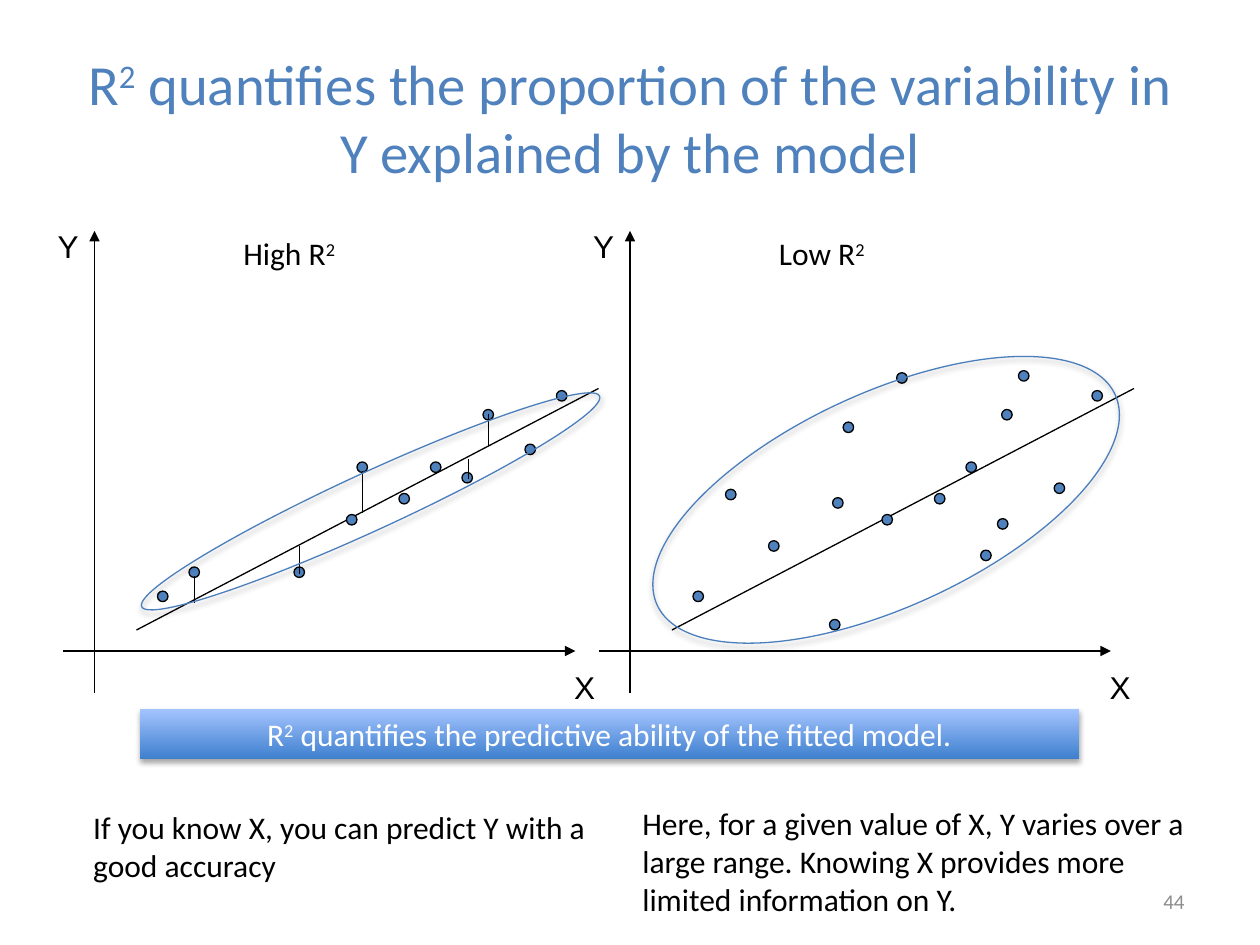
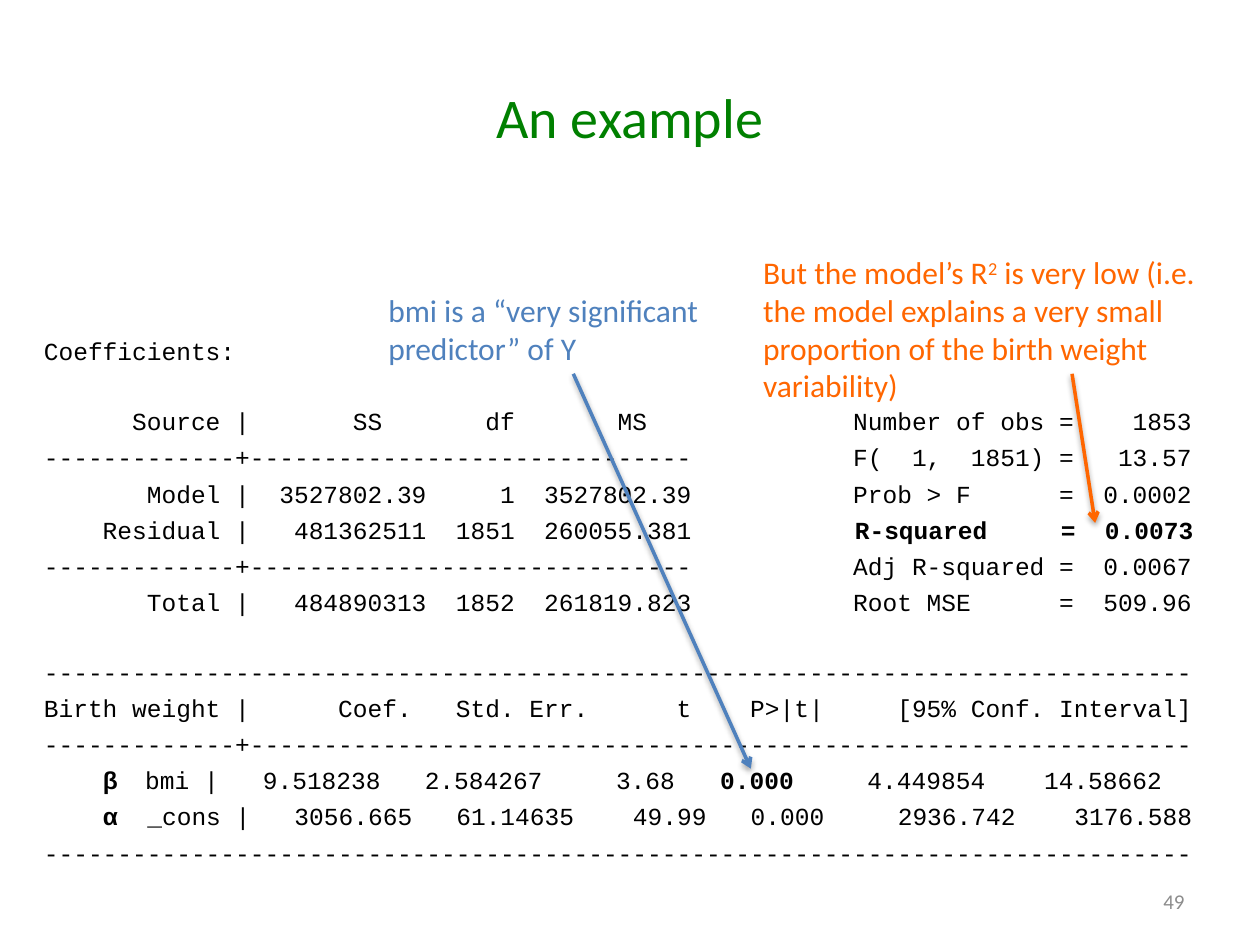
from pptx import Presentation
from pptx.dml.color import RGBColor
from pptx.enum.shapes import MSO_CONNECTOR, MSO_SHAPE
from pptx.enum.text import MSO_ANCHOR, PP_ALIGN
from pptx.oxml import parse_xml
from pptx.util import Inches, Pt

# Grid: 120 columns by 90 rows of square cells, twelve to the inch
CELL = Inches(1) // 12
COLUMNS, ROWS = 120, 90

COLORS = {
    "black": "000000", "white": "FFFFFF", "blue": "4F81BD", "outline": "4B7EBC",
    "green": "008000", "orange": "FF6600", "gray": "8C8C8C",
    "banner_bottom": "3F80CE", "banner_top": "A4C4FF",
}
TITLE_BOX = (6, 3.6, 108, 15)
NUMBER_BOX = (86, 83.4, 28, 4.8)

NAMESPACE = 'xmlns:a="http://schemas.openxmlformats.org/drawingml/2006/main"'
NO_EFFECT = f"<a:effectLst {NAMESPACE}/>"
SHADOW = (f'<a:effectLst {NAMESPACE}><a:outerShdw blurRad="40000" dist="23000" dir="5400000" '
          'rotWithShape="0"><a:srgbClr val="000000"><a:alpha val="35000"/></a:srgbClr>'
          "</a:outerShdw></a:effectLst>")

SUPERSCRIPT, BOLD, GREEK = "superscript", "bold", "greek"
SQUARE = ("2", SUPERSCRIPT)


def add_text(slide, box, *paragraphs, size=18, color="black", font="Calibri",
             align=PP_ALIGN.LEFT, anchor=MSO_ANCHOR.TOP, preset=None):
    """Add text; a paragraph is a string or a list of strings and (string, style) runs."""
    area = [round(value * CELL) for value in box]
    shape = slide.shapes.add_shape(preset, *area) if preset else slide.shapes.add_textbox(*area)
    frame = shape.text_frame
    frame.word_wrap = True
    frame.vertical_anchor = anchor
    for index, content in enumerate(paragraphs):
        paragraph = frame.paragraphs[0] if index == 0 else frame.add_paragraph()
        paragraph.alignment = align
        for part in [content] if isinstance(content, str) else content:
            text, style = (part, None) if isinstance(part, str) else part
            run = paragraph.add_run()
            run.text = text
            run.font.name = "Arial" if style == GREEK else font
            run.font.size = Pt(size)
            run.font.bold = style in (BOLD, GREEK)
            run.font.color.rgb = RGBColor.from_string(COLORS[color])
            if style == SUPERSCRIPT:
                run.font._element.set("baseline", "30000")
    return shape


def add_line(slide, start, end, color="black", width=0.75, arrow=None, effect=NO_EFFECT):
    """Draw a straight line, with an arrowhead at its end when one is named."""
    points = [round(value * CELL) for value in (*start, *end)]
    connector = slide.shapes.add_connector(MSO_CONNECTOR.STRAIGHT, *points)
    connector.line.color.rgb = RGBColor.from_string(COLORS[color])
    connector.line.width = Pt(width)
    if arrow:
        connector.line._get_or_add_ln().append(
            parse_xml(f'<a:tailEnd {NAMESPACE} type="{arrow}"/>'))
    connector._element.spPr.append(parse_xml(effect))


presentation = Presentation()
presentation.slide_width = COLUMNS * CELL
presentation.slide_height = ROWS * CELL

# Titles and slide numbers
slides = []
for title, title_size, title_color, number in [
    (["R", SQUARE, " quantifies the proportion of the variability in Y explained by the model"],
     32.4, "blue", "44"),
    ("An example", 32, "green", "49"),
]:
    slide = presentation.slides.add_slide(presentation.slide_layouts[6])
    add_text(slide, TITLE_BOX, title, size=title_size, color=title_color,
             align=PP_ALIGN.CENTER, anchor=MSO_ANCHOR.MIDDLE)
    add_text(slide, NUMBER_BOX, number, size=12, color="gray",
             align=PP_ALIGN.RIGHT, anchor=MSO_ANCHOR.MIDDLE)
    slides.append(slide)
fit_slide, example_slide = slides

# Two scatter plots; columns count from the left edge of each plot
PLOT_STEP = 51
plots = [
    {
        "caption": "High R",
        "ellipse": (11.3, 45, 48, 5.5),
        "dots": [(15, 56.3), (18, 54), (28, 54), (33, 49), (34, 44), (41, 44), (38, 47),
                 (44, 45), (46, 39), (50, 42.3), (53, 37.2)],
        "residuals": [(18.5, 54.9, 57.4), (28.5, 52, 54.7), (34.5, 44.9, 48.9),
                      (46.5, 39.4, 42.5), (44.6, 43.7, 45.6)],
    },
    {
        "caption": "Low R",
        "ellipse": (9.4, 37.4, 48, 20.4),
        "dots": [(15, 56.3), (18.1, 46.6), (28, 59), (33, 49), (34.4, 35.5), (41, 44),
                 (38, 47), (44, 49.4), (46, 35.3), (49.4, 46), (53, 37.2), (42.4, 52.4),
                 (44.4, 39), (22.2, 51.5), (28.3, 47.4), (29.3, 40.2)],
        "residuals": [],
    },
]
for index, plot in enumerate(plots):
    left = index * PLOT_STEP

    # Axes and fitted line
    add_line(fit_slide, (left + 9, 66), (left + 9, 22), arrow="triangle")
    add_line(fit_slide, (left + 6, 62), (left + 54.8, 62), arrow="triangle")
    add_line(fit_slide, (left + 13, 60), (left + 57, 37))

    # Observations
    for column, row in plot["dots"]:
        dot = fit_slide.shapes.add_shape(
            MSO_SHAPE.OVAL, round((left + column) * CELL), round(row * CELL), CELL, CELL)
        dot.shadow.inherit = False
        dot.fill.solid()
        dot.fill.fore_color.rgb = RGBColor.from_string(COLORS["blue"])
        dot.line.color.rgb = RGBColor.from_string(COLORS["black"])
        dot.line.width = Pt(0.75)
    for column, top, bottom in plot["residuals"]:
        add_line(fit_slide, (left + column, top), (left + column, bottom))

    # Axis names and caption
    add_text(fit_slide, (left + 53.5, 63, 11, 6), "X", font="Arial")
    add_text(fit_slide, (left + 1, 21, 11, 6), "Y", font="Arial", align=PP_ALIGN.CENTER)
    add_text(fit_slide, (left + 22, 21.7, 13, 7.3), [plot["caption"], SQUARE])

    # Ellipse around the cloud
    column, row, width, height = plot["ellipse"]
    ellipse = fit_slide.shapes.add_shape(
        MSO_SHAPE.OVAL, *[round(value * CELL) for value in (left + column, row, width, height)])
    ellipse.rotation = 335.3
    ellipse.fill.background()
    ellipse.line.color.rgb = RGBColor.from_string(COLORS["outline"])
    ellipse.line.width = Pt(0.75)
    ellipse._element.spPr.append(parse_xml(SHADOW))

# Remarks below the plots
add_text(fit_slide, (7.7, 76.4, 49.4, 8.5),
         "If you know X, you can predict Y with a good accuracy")
add_text(fit_slide, (60, 76, 55.5, 12.1),
         "Here, for a given value of X, Y varies over a large range. "
         "Knowing X provides more limited information on Y.")

# Banner
banner = add_text(fit_slide, (13.3, 67.5, 89.5, 4.8),
                  ["R", SQUARE, " quantifies the predictive ability of the fitted model."],
                  color="white", align=PP_ALIGN.CENTER, preset=MSO_SHAPE.RECTANGLE)
banner.fill.gradient()
banner.fill.gradient_angle = 90
for stop, name in zip(banner.fill.gradient_stops, ("banner_bottom", "banner_top")):
    stop.color.rgb = RGBColor.from_string(COLORS[name])
banner.line.fill.background()
banner._element.spPr.append(parse_xml(SHADOW))

# Regression output, in three blocks
blocks = [
    ["Coefficients:"],
    [
        "      Source |       SS       df       MS              Number of obs =    1853",
        "-------------+------------------------------           F(  1,  1851) =   13.57",
        "       Model |  3527802.39     1  3527802.39           Prob > F      =  0.0002",
        ["    Residual |   481362511  1851  260055.381           ",
         ("R-squared     =  0.0073", BOLD)],
        "-------------+------------------------------           Adj R-squared =  0.0067",
        "       Total |   484890313  1852  261819.823           Root MSE      =  509.96",
    ],
    [
        "-" * 78,
        "Birth weight |      Coef.   Std. Err.      t    P>|t|     [95% Conf. Interval]",
        "-" * 13 + "+" + "-" * 64,
        ["    ", ("β    ", GREEK), "bmi |   9.518238   2.584267     3.68   ",
         ("0.000 ", BOLD), "    4.449854    14.58662"],
        ["    ", ("α", GREEK),
         "  _cons |   3056.665   61.14635    49.99   0.000     2936.742    3176.588"],
        "-" * 78,
    ],
]
LINE_GAP, BLOCK_GAP = Pt(3.8), Pt(23.5)
output = add_text(example_slide, (3, 31.4, 115.6, 29.3),
                  *[line for block in blocks for line in block], size=14, font="Courier New")
gaps = [LINE_GAP if position else BLOCK_GAP for block in blocks for position in range(len(block))]
for paragraph, gap in list(zip(output.text_frame.paragraphs, gaps))[1:]:
    paragraph.space_before = gap

# Comments with arrows into the output
add_text(example_slide, (35.8, 27.1, 32.4, 8.5),
         "bmi is a “very significant predictor” of Y", color="blue")
add_text(example_slide, (71.5, 23.5, 47, 15.7),
         ["But the model’s R", SQUARE, " is very low (i.e. the model explains a very small "
          "proportion of the birth weight variability)"], color="orange")
for start, end, color in [((54.6, 35.6), (71.5, 73.2), "blue"),
                          ((102.1, 35.6), (104.3, 49.8), "orange")]:
    add_line(example_slide, start, end, color=color, width=2, arrow="arrow", effect=SHADOW)

presentation.save("out.pptx")
